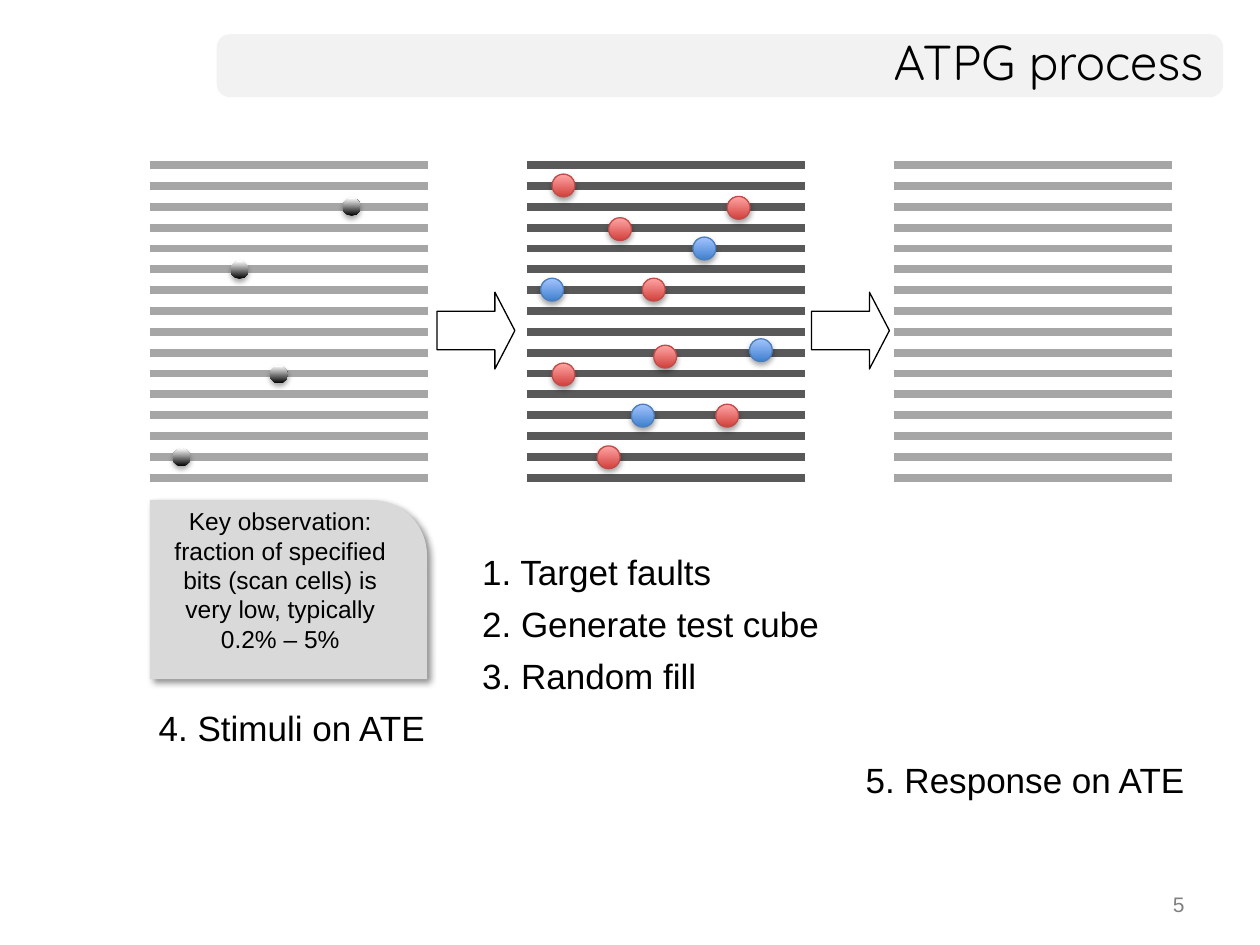
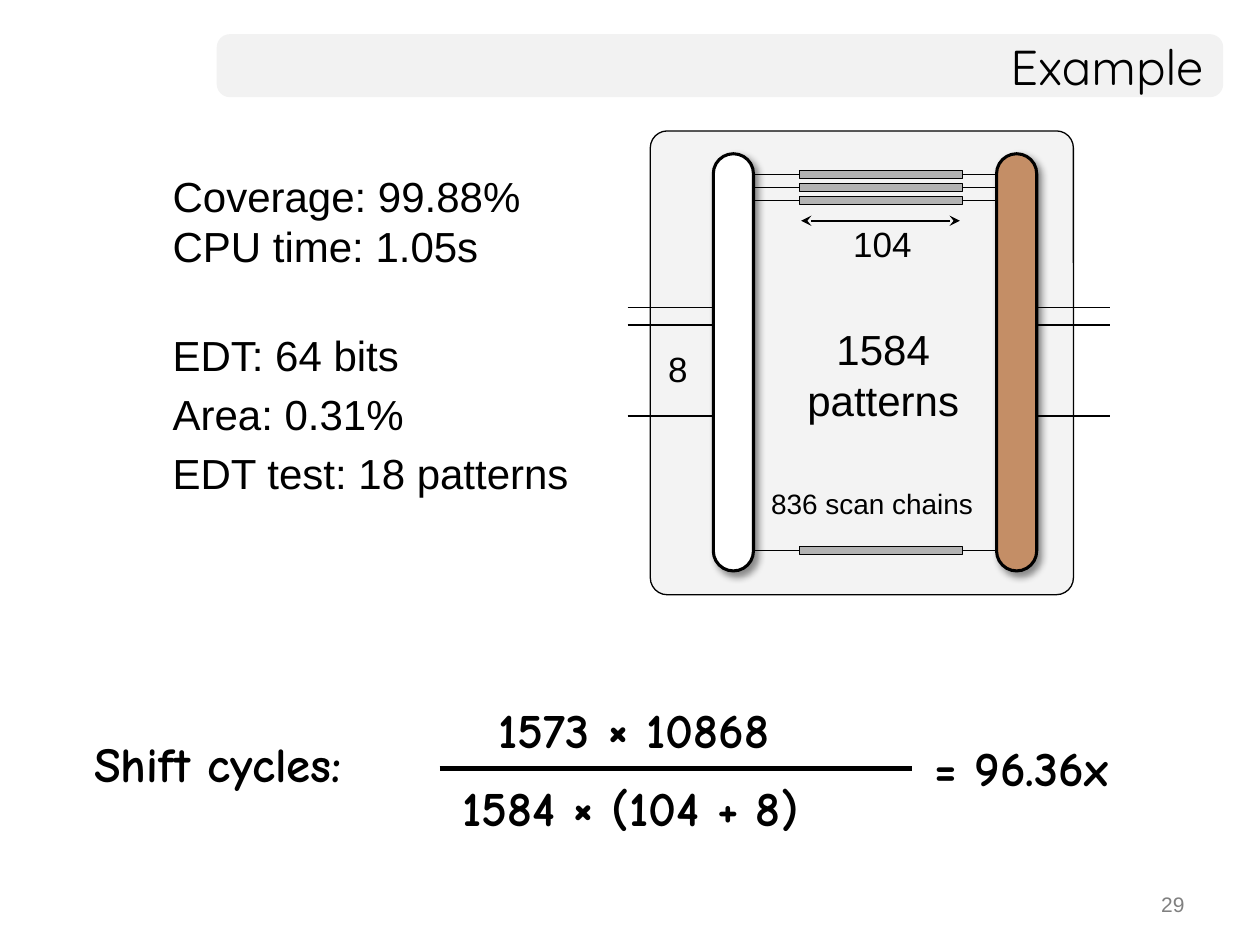
from dataclasses import dataclass

from lxml import etree
from pptx import Presentation
from pptx.dml.color import RGBColor
from pptx.enum.shapes import MSO_CONNECTOR, MSO_SHAPE
from pptx.enum.text import MSO_ANCHOR, MSO_AUTO_SIZE, PP_ALIGN
from pptx.oxml.ns import qn
from pptx.util import Cm, Pt

STRAIGHT = MSO_CONNECTOR.STRAIGHT
RECT, ROUNDED, OVAL = MSO_SHAPE.RECTANGLE, MSO_SHAPE.ROUNDED_RECTANGLE, MSO_SHAPE.OVAL
ARROW, NOTE = MSO_SHAPE.RIGHT_ARROW, MSO_SHAPE.ROUND_1_RECTANGLE
LEFT, CENTER, RIGHT = PP_ALIGN.LEFT, PP_ALIGN.CENTER, PP_ALIGN.RIGHT
TOP, MIDDLE = MSO_ANCHOR.TOP, MSO_ANCHOR.MIDDLE
FIT_SHAPE = MSO_AUTO_SIZE.SHAPE_TO_FIT_TEXT

BLACK = RGBColor(0x00, 0x00, 0x00)
WHITE = RGBColor(0xFF, 0xFF, 0xFF)
BAND_GRAY = RGBColor(0xF2, 0xF2, 0xF2)
NUMBER_GRAY = RGBColor(0x80, 0x80, 0x80)
NOTE_GRAY = RGBColor(0xD9, 0xD9, 0xD9)
CHAIN_LIGHT = RGBColor(0xA6, 0xA6, 0xA6)
CHAIN_DARK = RGBColor(0x59, 0x59, 0x59)
CHIP_GRAY = RGBColor(0xEA, 0xEA, 0xEA)
CELL_GRAY = RGBColor(0xB2, 0xB2, 0xB2)
COMPACTOR_BROWN = RGBColor(0xC4, 0x8E, 0x66)

BODY_FONT, TITLE_FONT, FORMULA_FONT = "Arial", "Quicksand", "Comic Neue"


@dataclass(frozen=True)
class Shadow:
    """Opacity in percent, blur and distance in points, direction in degrees."""
    opacity: int
    blur: float
    distance: float
    direction: int


@dataclass(frozen=True)
class Label:
    """Text block; box is left, top, width, height in cm."""
    text: str
    box: tuple[float, float, float, float]
    size: float = 20
    align: PP_ALIGN = LEFT
    anchor: MSO_ANCHOR = TOP
    font: str = BODY_FONT
    color: RGBColor = BLACK
    bold: bool = False
    wrap: bool = False
    grow: bool = True
    line_spacing: float = 1.0
    gap: float = 0


@dataclass(frozen=True)
class BallKind:
    diameter: float
    bottom: RGBColor
    top: RGBColor
    edge: RGBColor | None
    places: tuple[tuple[float, float], ...]


SOFT_SHADOW = Shadow(43, 4, 3, 45)
BALL_SHADOW = Shadow(35, 3.1, 1.8, 90)

BALLS = (
    BallKind(0.46, RGBColor(0xD1, 0x40, 0x3C), RGBColor(0xFF, 0xA6, 0xA5),
             RGBColor(0xBF, 0x4C, 0x48),
             ((11.13, 3.51), (12.27, 4.39), (12.95, 5.61), (13.18, 6.96),
              (11.13, 7.32), (14.43, 8.15), (12.04, 8.99), (14.66, 3.96))),
    BallKind(0.46, RGBColor(0x3F, 0x80, 0xCE), RGBColor(0xA4, 0xC4, 0xFF),
             RGBColor(0x4B, 0x7E, 0xBC),
             ((15.11, 6.83), (13.97, 4.78), (10.9, 5.61), (12.73, 8.15))),
    BallKind(0.36, BLACK, WHITE, None,
             ((4.65, 5.26), (5.44, 7.37), (6.91, 3.99), (3.48, 9.04))),
)


def cast_shadow(shape, shadow: Shadow) -> None:
    effects = shape.element.spPr.find(qn("a:effectLst"))
    outer = etree.SubElement(
        effects, qn("a:outerShdw"), blurRad=str(Pt(shadow.blur)),
        dist=str(Pt(shadow.distance)), dir=str(shadow.direction * 60000),
        algn="ctr", rotWithShape="0")
    color = etree.SubElement(outer, qn("a:srgbClr"), val=str(BLACK))
    etree.SubElement(color, qn("a:alpha"), val=str(shadow.opacity * 1000))


def draw_shape(slide, kind, box, fill=None, edge=None, edge_width=0.75,
               adjustments=(), shadow: Shadow | None = None):
    shape = slide.shapes.add_shape(kind, *(Cm(v) for v in box))
    shape.shadow.inherit = False
    for index, value in enumerate(adjustments):
        shape.adjustments[index] = value
    if fill is not None:
        shape.fill.solid()
        shape.fill.fore_color.rgb = fill
    if edge is None:
        shape.line.fill.background()
    else:
        shape.line.color.rgb = edge
        shape.line.width = Pt(edge_width)
    if shadow:
        cast_shadow(shape, shadow)
    return shape


def draw_line(slide, x1: float, y1: float, x2: float, y2: float,
              color=BLACK, width: float = 1, arrows: bool = False) -> None:
    line = slide.shapes.add_connector(STRAIGHT, Cm(x1), Cm(y1), Cm(x2), Cm(y2))
    line.line.color.rgb = color
    line.line.width = Pt(width)
    if arrows:
        outline = line.line._get_or_add_ln()
        for end in ("a:headEnd", "a:tailEnd"):
            etree.SubElement(outline, qn(end), type="stealth")
    etree.SubElement(line.element.spPr, qn("a:effectLst"))


def format_text(frame, label: Label) -> None:
    frame.word_wrap = label.wrap
    frame.vertical_anchor = label.anchor
    frame.text = label.text
    for index, paragraph in enumerate(frame.paragraphs):
        paragraph.alignment = label.align
        paragraph.line_spacing = label.line_spacing
        if index:
            paragraph.space_before = Pt(label.gap)
        for run in paragraph.runs:
            run.font.name = label.font
            run.font.size = Pt(label.size)
            run.font.bold = label.bold
            run.font.color.rgb = label.color


def draw_label(slide, label: Label):
    textbox = slide.shapes.add_textbox(*(Cm(v) for v in label.box))
    format_text(textbox.text_frame, label)
    if label.grow:
        textbox.text_frame.auto_size = FIT_SHAPE
    return textbox


def draw_formula(slide, text: str, box) -> None:
    """Bold formula text; a multiplication sign is set larger."""
    label = Label(text, box, 28, anchor=MIDDLE, font=FORMULA_FONT, bold=True)
    frame = draw_label(slide, label).text_frame
    before, sign, after = text.partition("×")
    if not sign:
        return
    paragraph = frame.paragraphs[0]
    paragraph.runs[0].text = before
    for part, size in ((sign, 32), (after, 28)):
        run = paragraph.add_run()
        run.text = part
        run.font.name, run.font.size, run.font.bold = FORMULA_FONT, Pt(size), True
        run.font.color.rgb = BLACK


def start_slide(prs, title: str, number: int, title_spacing: float = 1.0):
    slide = prs.slides.add_slide(prs.slide_layouts[6])
    draw_shape(slide, ROUNDED, (4.37, 0.69, 20.29, 1.27), BAND_GRAY,
               adjustments=(0.21,))
    draw_label(slide, Label(title, (4.37, 0.69, 20.14, 1.27), 28, RIGHT, MIDDLE,
                            TITLE_FONT, wrap=True, grow=False,
                            line_spacing=title_spacing))
    draw_label(slide, Label(str(number), (18.21, 17.78, 5.92, 0.89), 12, RIGHT,
                            MIDDLE, color=NUMBER_GRAY, wrap=True, grow=False))
    return slide


def build_process_slide(prs) -> None:
    slide = start_slide(prs, "ATPG process", 5, 0.85)

    # Key observation
    note_box = (3.02, 10.08, 5.59, 3.61)
    note = draw_shape(slide, NOTE, note_box, NOTE_GRAY, adjustments=(0.31,),
                      shadow=SOFT_SHADOW)
    format_text(note.text_frame, Label(
        "Key observation: fraction of specified bits (scan cells) is very low, "
        "typically\v0.2% – 5%", note_box, 14, CENTER, wrap=True))

    # Stimuli, circuit and response scan chains
    for left, color in ((10.62, CHAIN_DARK), (18.03, CHAIN_LIGHT), (3.02, CHAIN_LIGHT)):
        for row in range(16):
            y = 3.33 + 0.42 * row
            draw_line(slide, left, y, left + 5.6, y, color, 4.5)

    for left in (8.81, 16.36):
        draw_shape(slide, ARROW, (left, 5.89, 1.57, 1.55), WHITE, BLACK,
                   adjustments=(0.5, 0.26))

    # Steps, one row lower each
    steps = (("1. Target faults", 9.47, 5.18), ("2. Generate test cube", 9.47, 7.57),
             ("3. Random fill", 9.47, 4.88), ("4. Stimuli on ATE", 2.95, 5.92),
             ("5. Response on ATE", 17.2, 6.99))
    for row, (step, left, width) in enumerate(steps):
        draw_label(slide, Label(step, (left, 10.97 + 1.05 * row, width, 1.12)))

    # Faults, detections and specified bits
    for kind in BALLS:
        for left, top in kind.places:
            ball = draw_shape(slide, OVAL, (left, top, kind.diameter, kind.diameter),
                              edge=kind.edge, shadow=BALL_SHADOW)
            ball.fill.gradient()
            ball.fill.gradient_angle = 90
            for stop, color in zip(ball.fill.gradient_stops, (kind.bottom, kind.top)):
                stop.color.rgb = color


def build_example_slide(prs) -> None:
    slide = start_slide(prs, "Example", 29)

    # Chip outline
    chip = draw_shape(slide, ROUNDED, (13.11, 2.64, 8.53, 9.35), CHIP_GRAY, BLACK,
                      adjustments=(0.04,))
    chip_color = chip.element.spPr.find(qn("a:solidFill"))[0]
    etree.SubElement(chip_color, qn("a:alpha"), val="55000")

    # Scan chains with their cells
    for y in (3.52, 3.78, 4.04, 11.1):
        draw_line(slide, 14.83, y, 20.73, y)
        draw_shape(slide, RECT, (16.12, y - 0.08, 3.28, 0.16), CELL_GRAY, BLACK)

    # External channels
    for y in (6.2, 6.55, 8.38):
        draw_line(slide, 12.65, y, 14.45, y)
        draw_line(slide, 20.93, y, 22.38, y)

    # Decompressor and compactor
    for left, fill in ((14.38, WHITE), (20.09, COMPACTOR_BROWN)):
        draw_shape(slide, ROUNDED, (left, 3.1, 0.81, 8.41), fill, BLACK, 1.75,
                   (0.5,), SOFT_SHADOW)

    # Chip dimensions
    draw_line(slide, 16.15, 4.45, 19.35, 4.45, width=0.88, arrows=True)
    for text, box, size in (
            ("104", (16.94, 4.37, 1.7, 1.12), 20),
            ("1584\npatterns", (16, 6.4, 3.61, 2.31), 24),
            ("8", (13.21, 6.88, 0.91, 1.12), 20),
            ("836 scan chains", (15.27, 9.68, 4.62, 0.94), 16)):
        draw_label(slide, Label(text, box, size, CENTER))

    # Results
    for text, box in (
            ("Coverage: 99.88% CPU time: 1.05s", (3.23, 3.3, 7.75, 2.31)),
            ("EDT: 64 bits\nArea: 0.31%\nEDT test: 18 patterns",
             (3.23, 6.48, 9.75, 3.73))):
        draw_label(slide, Label(text, box, 24, anchor=MIDDLE, wrap=True, gap=4.8))

    # Shift cycle reduction
    for text, box in (
            ("Shift cycles:", (1.65, 14.66, 6.81, 1.45)),
            ("1573 × 10868", (9.8, 13.82, 7.49, 1.63)),
            ("1584 × (104 + 8)", (9.07, 15.39, 9.07, 1.63)),
            ("= 96.36x", (18.59, 14.73, 5, 1.45))):
        draw_formula(slide, text, box)
    draw_line(slide, 8.86, 15.49, 18.39, 15.49, width=3)


def main() -> None:
    prs = Presentation()
    prs.slide_width, prs.slide_height = Cm(25.4), Cm(19.05)
    build_process_slide(prs)
    build_example_slide(prs)
    prs.save("out.pptx")


if __name__ == "__main__":
    main()
